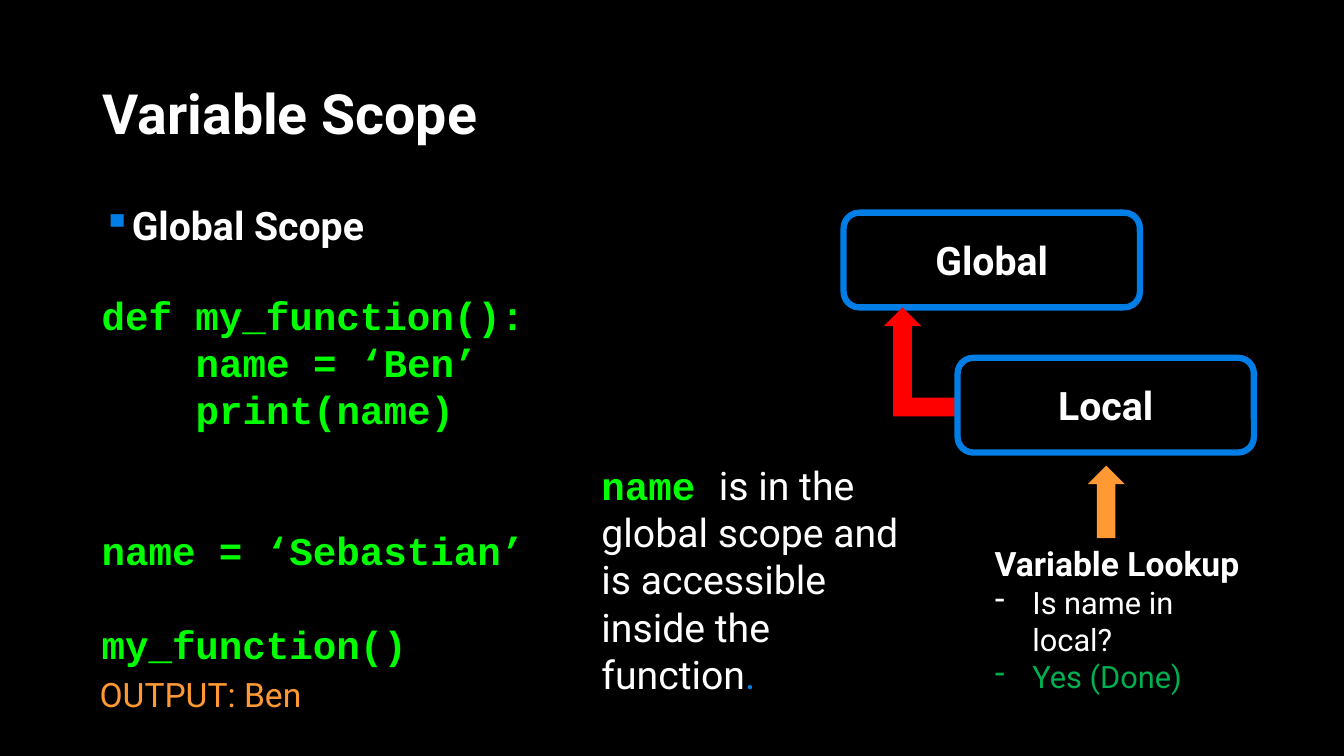
import pptx
import pptx.util
import pptx.dml.color
import pptx.enum.shapes
import pptx.enum.text
import pptx.oxml

Pt = pptx.util.Pt
SHAPE = pptx.enum.shapes.MSO_SHAPE
ANCHOR = pptx.enum.text.MSO_ANCHOR
ALIGN = pptx.enum.text.PP_ALIGN
NS = 'xmlns:a="http://schemas.openxmlformats.org/drawingml/2006/main"'

COLORS = {
    "black": "000000", "white": "FFFFFF", "blue": "017EE5", "bullet": "007EE5",
    "red": "FF0000", "orange": "FF9933", "lime": "00FF00", "green": "00B050",
}
CODE_LINE = 33.6
CODE_INDENT = 4 * 16.8  # four monospaced characters at 28 pt


def rgb(color):
    return pptx.dml.color.RGBColor.from_string(COLORS[color])


class SlideBuilder:
    font = "Roboto"
    code_font = "Courier New"

    def __init__(self, prs):
        self.s = prs.slides.add_slide(prs.slide_layouts[5])
        fill = self.s.background.fill
        fill.solid()
        fill.fore_color.rgb = rgb("black")

    def run(self, p, text, size=28, color="white", bold=False, font=None):
        r = p.add_run()
        r.text = text
        r.font.size = Pt(size)
        r.font.name = font or self.font
        r.font.bold = bold
        r.font.color.rgb = rgb(color)

    def code(self, p, text):
        self.run(p, text, color="lime", bold=True, font=self.code_font)

    def bullet(self, p, char, indent, color=None):
        pPr = p._p.get_or_add_pPr()
        pPr.set("marL", str(Pt(indent)))
        pPr.set("indent", str(-Pt(indent)))
        if color:
            pPr.append(pptx.oxml.parse_xml(
                f'<a:buClr {NS}><a:srgbClr val="{COLORS[color]}"/></a:buClr>'))
        pPr.append(pptx.oxml.parse_xml(f'<a:buChar {NS} char="{char}"/>'))

    def title(self, text, x, y, w, h):
        sp = self.s.shapes.title
        sp.left, sp.top, sp.width, sp.height = Pt(x), Pt(y), Pt(w), Pt(h)
        tf = sp.text_frame
        tf.vertical_anchor = ANCHOR.MIDDLE
        p = tf.paragraphs[0]
        p.alignment = ALIGN.LEFT
        p.line_spacing = 0.9
        self.run(p, text, size=39.6, bold=True)

    def text_box(self, x, y, w, h):
        tf = self.s.shapes.add_textbox(Pt(x), Pt(y), Pt(w), Pt(h)).text_frame
        tf.word_wrap = True
        return tf

    def shape(self, kind, x, y, w, h, fill=None):
        sp = self.s.shapes.add_shape(kind, Pt(x), Pt(y), Pt(w), Pt(h))
        sp.shadow.inherit = False
        sp.line.fill.background()
        if fill:
            sp.fill.solid()
            sp.fill.fore_color.rgb = rgb(fill)
        else:
            sp.fill.background()
        return sp

    def scope_box(self, text, x, y):
        sp = self.shape(SHAPE.ROUNDED_RECTANGLE, x, y, 211.7, 67.7)
        sp.line.color.rgb = rgb("blue")
        sp.line.width = Pt(4.5)
        tf = sp.text_frame
        tf.vertical_anchor = ANCHOR.MIDDLE
        p = tf.paragraphs[0]
        p.alignment = ALIGN.CENTER
        self.run(p, text, bold=True)


def main():
    prs = pptx.Presentation()
    prs.slide_width, prs.slide_height = Pt(960), Pt(540)
    b = SlideBuilder(prs)
    b.title("Variable Scope", 66.2, 57.6, 828, 51.8)

    tf = b.text_box(703.4, 384.5, 203.8, 90)
    tf_p = tf.paragraphs[0]
    b.run(tf_p, "Variable Lookup", size=24, bold=True)
    for text, color in (("Is name in local?", "white"), ("Yes (Done)", "green")):
        p = tf.add_paragraph()
        b.bullet(p, "-", 27)
        b.run(p, text, size=22, color=color)

    b.shape(SHAPE.UP_ARROW, 776.9, 332.6, 26.6, 51.8, "orange")
    b.scope_box("Global", 602.6, 151.9)
    arrow = b.shape(SHAPE.BENT_UP_ARROW, 631.4, 219.6, 53.3, 77.8, "red")
    arrow._element.spPr.xfrm.set("flipH", "1")
    b.scope_box("Local", 684, 255.6)

    p = b.text_box(66.2, 144, 536.4, 50).paragraphs[0]
    p.line_spacing = 0.9
    p.space_before = Pt(10)
    b.bullet(p, "▪", 18, "bullet")
    b.run(p, "Global Scope", bold=True)

    # text, indent levels, empty lines above
    code_lines = (
        ("def my_function():", 0, 0),
        ("name = ‘Ben’", 1, 0),
        ("print(name)", 1, 0),
        ("name = ‘Sebastian’", 0, 2),
        ("my_function()", 0, 1),
    )
    tf = b.text_box(65.5, 204.5, 336.2, 278.6)
    for i, (text, level, gap) in enumerate(code_lines):
        p = tf.add_paragraph() if i else tf.paragraphs[0]
        p.space_before = Pt(gap * CODE_LINE)
        p._p.get_or_add_pPr().set("marL", str(Pt(level * CODE_INDENT)))
        b.code(p, text)

    p = b.text_box(422.6, 326.2, 233.3, 177.1).paragraphs[0]
    b.code(p, "name ")
    b.run(p, "is in the global scope and is accessible inside the function")
    b.run(p, ".", color="blue")

    p = b.text_box(64.1, 478.1, 324.7, 36).paragraphs[0]
    b.run(p, "OUTPUT: Ben", size=24, color="orange")

    prs.save("out.pptx")


if __name__ == "__main__":
    main()
